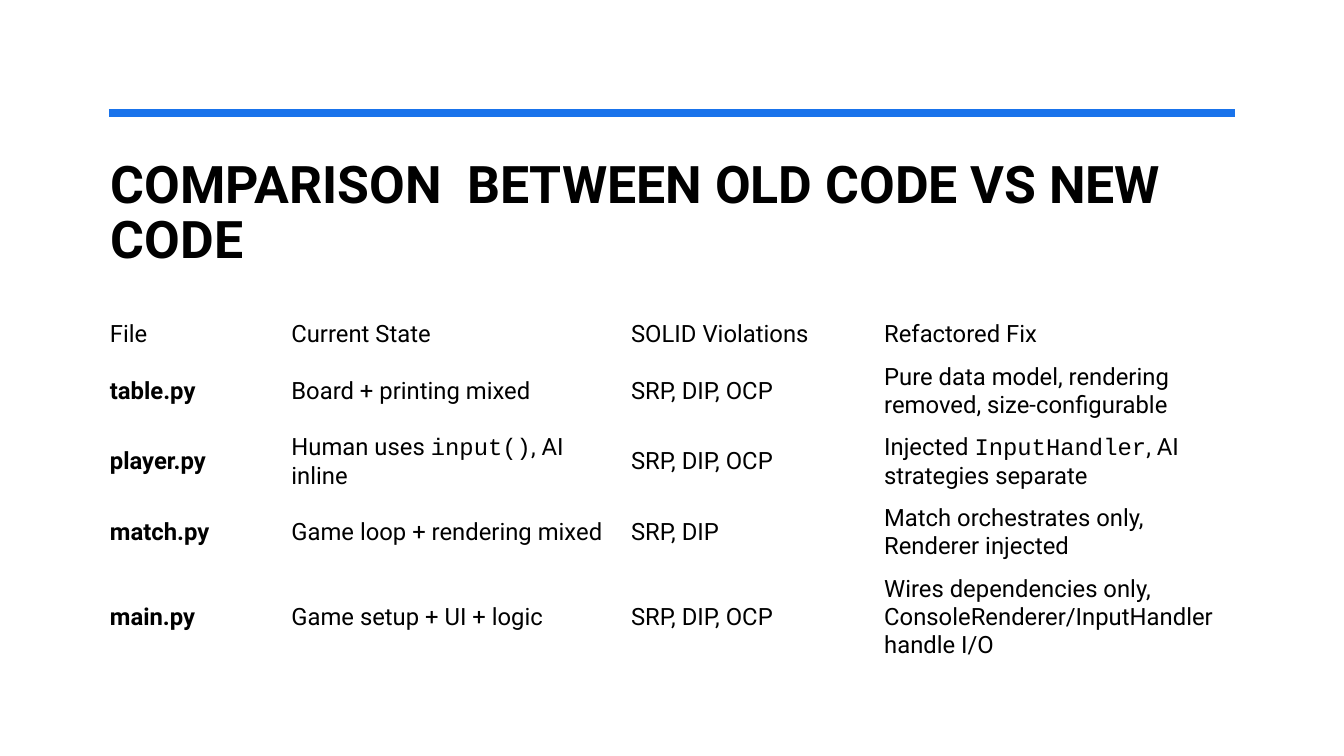
from lxml import etree
from pptx import Presentation
from pptx.dml.color import RGBColor
from pptx.enum.shapes import MSO_CONNECTOR
from pptx.enum.text import MSO_ANCHOR
from pptx.oxml.ns import qn
from pptx.util import Inches, Pt

BLACK = RGBColor(0x00, 0x00, 0x00)
BLUE = RGBColor(0x19, 0x73, 0xEB)
BODY_FONT = "Roboto"
CODE_FONT = "Courier New"

COLUMN_WIDTHS = [1.8, 3.37, 2.51, 3.65]
ROW_HEIGHTS = [0.42, 0.7, 0.7, 0.7, 0.99]
COMPARISON = [
    ("File", "Current State", "SOLID Violations", "Refactored Fix"),
    ("table.py", "Board + printing mixed", "SRP, DIP, OCP",
     "Pure data model, rendering removed, size-configurable"),
    ("player.py", "Human uses `input()`, AI inline", "SRP, DIP, OCP",
     "Injected `InputHandler`, AI strategies separate"),
    ("match.py", "Game loop + rendering mixed", "SRP, DIP",
     "Match orchestrates only, Renderer injected"),
    ("main.py", "Game setup + UI + logic", "SRP, DIP, OCP",
     "Wires dependencies only, ConsoleRenderer/InputHandler handle I/O"),
]


def write_text(paragraph, text, size=17, bold=False, color=BLACK, line_spacing=None):
    """Add text to the paragraph; parts between backticks get the code font."""
    if line_spacing:
        paragraph.line_spacing = line_spacing
    for index, part in enumerate(text.split("`")):
        run = paragraph.add_run()
        run.text = part
        run.font.name = CODE_FONT if index % 2 else BODY_FONT
        run.font.size = Pt(size)
        run.font.bold = bold
        run.font.color.rgb = color


def add_heading(slide, left, top, width, height):
    """Place the blue rule and the title below it."""
    rule_y = Inches(top)
    rule = slide.shapes.add_connector(
        MSO_CONNECTOR.STRAIGHT, Inches(left + 0.08), rule_y, Inches(left + 11.25), rule_y)
    rule.line.color.rgb = BLUE
    rule.line.width = Pt(6)
    etree.SubElement(rule._element.spPr, qn("a:effectLst"))

    title = slide.shapes.add_textbox(
        Inches(left), Inches(top + 0.38), Inches(width), Inches(height - 0.38))
    frame = title.text_frame
    frame.word_wrap = True
    frame.vertical_anchor = MSO_ANCHOR.MIDDLE
    write_text(frame.paragraphs[0], "COMPARISON  BETWEEN OLD CODE VS NEW CODE",
               size=37, bold=True, line_spacing=0.9)


def add_comparison_table(slide, left, top, width, height):
    comparison = slide.shapes.add_table(
        len(ROW_HEIGHTS), len(COLUMN_WIDTHS),
        Inches(left), Inches(top), Inches(width), Inches(height)).table
    comparison.first_row = False
    comparison.horz_banding = False
    for column, column_width in zip(comparison.columns, COLUMN_WIDTHS):
        column.width = Inches(column_width)
    for row, row_height, entries in zip(comparison.rows, ROW_HEIGHTS, COMPARISON):
        row.height = Inches(row_height)
        for column_index, (cell, entry) in enumerate(zip(row.cells, entries)):
            cell.fill.background()
            cell.vertical_anchor = MSO_ANCHOR.MIDDLE
            cell.margin_left = cell.margin_right = Inches(0.09)
            cell.margin_top = cell.margin_bottom = Inches(0.05)
            is_file_name = column_index == 0 and entries is not COMPARISON[0]
            write_text(cell.text_frame.paragraphs[0], entry, bold=is_file_name)


def main():
    presentation = Presentation()
    presentation.slide_width = Inches(13.33)
    presentation.slide_height = Inches(7.5)
    slide = presentation.slides.add_slide(presentation.slide_layouts[6])
    add_heading(slide, 1, 1.12, 11.33, 1.63)
    add_comparison_table(slide, 1, 3.11, sum(COLUMN_WIDTHS), sum(ROW_HEIGHTS))
    presentation.save("out.pptx")


if __name__ == "__main__":
    main()
